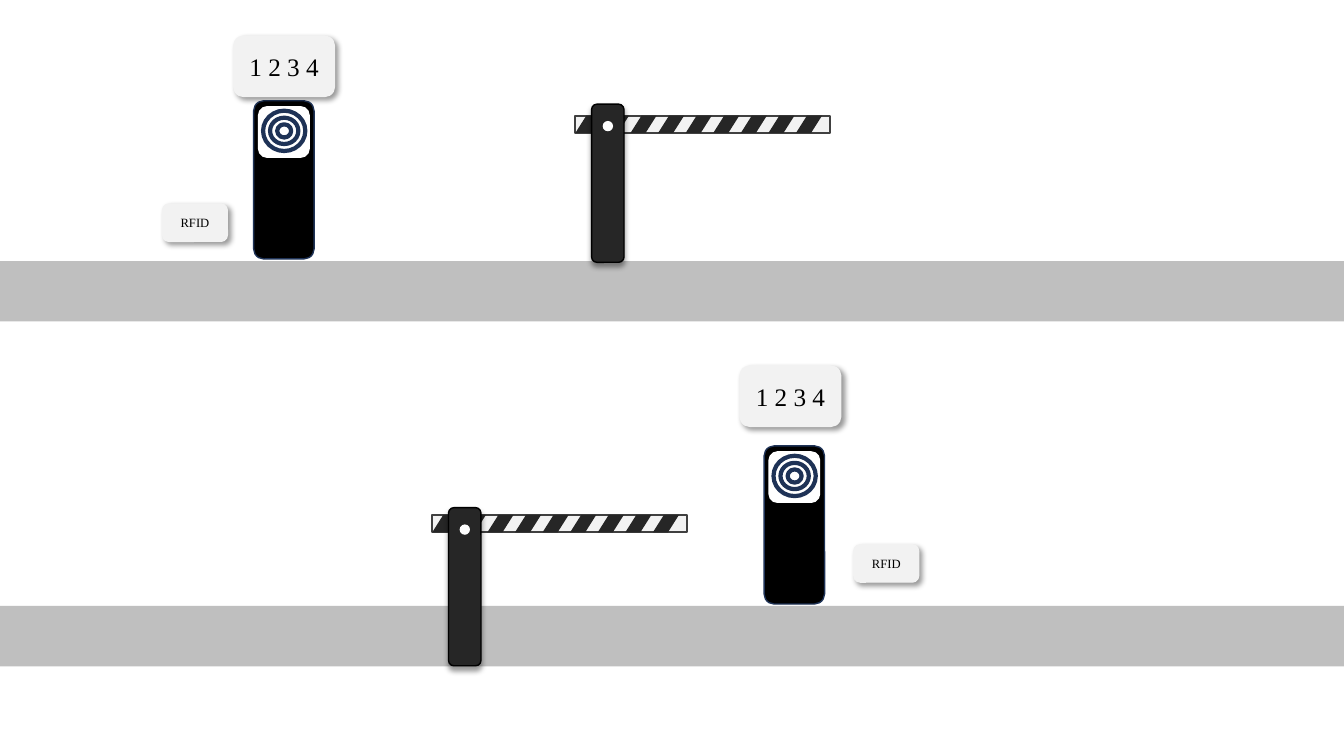
"""Build a slide of two roads, each with a barrier, a card reader and labels."""
import pptx
import pptx.dml.color
import pptx.enum.shapes
import pptx.enum.text
import pptx.oxml.ns
import pptx.util
from lxml import etree

Pt = pptx.util.Pt
RGBColor = pptx.dml.color.RGBColor
MSO = pptx.enum.shapes.MSO_SHAPE

BLACK = RGBColor(0x00, 0x00, 0x00)
WHITE = RGBColor(0xFF, 0xFF, 0xFF)
ROAD = RGBColor(0xBF, 0xBF, 0xBF)
LIGHT = RGBColor(0xF2, 0xF2, 0xF2)
DARK = RGBColor(0x26, 0x26, 0x26)
FRAME = RGBColor(0x40, 0x40, 0x40)
NAVY = RGBColor(0x1E, 0x32, 0x56)

SLIDE_W, SLIDE_H = 960, 540
STRIPES, STRIPE_PITCH = 9, 19.7
RINGS = ((30.2, 28.8), (20.2, 18.8), (10, 9.4))


def add_shadow(sp, angle):
    """Add a soft outer shadow falling at the given angle in degrees."""
    effects = sp._element.spPr.find(pptx.oxml.ns.qn("a:effectLst"))
    shadow = etree.SubElement(
        effects, pptx.oxml.ns.qn("a:outerShdw"), blurRad=str(Pt(4)),
        dist=str(Pt(3)), dir=str(angle * 60000), algn="ctr", rotWithShape="0")
    color = etree.SubElement(shadow, pptx.oxml.ns.qn("a:srgbClr"), val="000000")
    etree.SubElement(color, pptx.oxml.ns.qn("a:alpha"), val="40000")


def add_shape(parent, kind, box, fill, line=None, width=1, shadow=None):
    """Add a filled preset shape, with an outline and shadow if given."""
    sp = parent.shapes.add_shape(kind, *map(Pt, box))
    sp.shadow.inherit = False
    sp.fill.solid()
    sp.fill.fore_color.rgb = fill
    if line is None:
        sp.line.fill.background()
    else:
        sp.line.color.rgb = line
        sp.line.width = Pt(width)
    if shadow is not None:
        add_shadow(sp, shadow)
    return sp


def add_road(s, top):
    """Add a road across the slide."""
    add_shape(s, MSO.RECTANGLE, (0, top, SLIDE_W, 43.2), ROAD)


def add_barrier(s, left, arm_top, post_top):
    """Add a striped arm and the post that holds it."""
    arm = s.shapes.add_group_shape()
    add_shape(arm, MSO.RECTANGLE, (left, arm_top, 181.8, 12.4), LIGHT, FRAME, 1.5)
    for i in range(STRIPES):
        box = (left + i * STRIPE_PITCH, arm_top, 18.6, 12.4)
        stripe = add_shape(arm, MSO.PARALLELOGRAM, box, DARK)
        stripe.adjustments[0] = 0.633
    post = s.shapes.add_group_shape()
    add_shape(post, MSO.ROUNDED_RECTANGLE, (left + 11.6, post_top, 23.2, 113),
              DARK, BLACK, shadow=90)
    add_shape(post, MSO.OVAL, (left + 19.5, post_top + 12, 7.4, 7.4), WHITE)


def add_reader(s, left, top):
    """Add a reader column with concentric rings on its screen."""
    reader = s.shapes.add_group_shape()
    add_shape(reader, MSO.ROUNDED_RECTANGLE, (left, top, 43.2, 113), BLACK, NAVY)
    add_shape(reader, MSO.ROUNDED_RECTANGLE, (left + 3.6, top + 4.3, 36, 36),
              WHITE, WHITE)
    for w, h in RINGS:
        box = (left + 21.8 - w / 2, top + 21.5 - h / 2, w, h)
        add_shape(reader, MSO.OVAL, box, WHITE, NAVY, 3)


def add_label(s, text, box, size):
    """Add a raised label with centred text."""
    sp = add_shape(s, MSO.ROUNDED_RECTANGLE, box, LIGHT, LIGHT, shadow=45)
    tf = sp.text_frame
    frame = {"word_wrap": False, "margin_left": 0, "margin_right": 0,
             "margin_top": 0, "margin_bottom": 0,
             "vertical_anchor": pptx.enum.text.MSO_ANCHOR.MIDDLE}
    for name, value in frame.items():
        setattr(tf, name, value)
    p = tf.paragraphs[0]
    p.alignment = pptx.enum.text.PP_ALIGN.CENTER
    r = p.add_run()
    r.text = text
    for name, value in {"name": "Times New Roman", "size": Pt(size)}.items():
        setattr(r.font, name, value)
    r.font.color.rgb = BLACK


def main():
    """Build and save the slide."""
    prs = pptx.Presentation()
    prs.slide_width, prs.slide_height = Pt(SLIDE_W), Pt(SLIDE_H)
    s = prs.slides.add_slide(prs.slide_layouts[6])
    for top in (432.8, 186.5):
        add_road(s, top)
    for left, arm_top, post_top in ((411, 82.6, 74.4), (308.8, 367.8, 362.6)):
        add_barrier(s, left, arm_top, post_top)
    for left, top in ((181.2, 72), (545.8, 318.5)):
        add_reader(s, left, top)
    for left, top in ((610, 389.2), (116.2, 145.8)):
        add_label(s, "RFID", (left, top, 46.2, 26.6), 9)
    for left, top in ((167, 25.8), (528.6, 261.4)):
        add_label(s, "1 2 3 4", (left, top, 72, 43.2), 18)
    prs.save("out.pptx")


if __name__ == "__main__":
    main()
